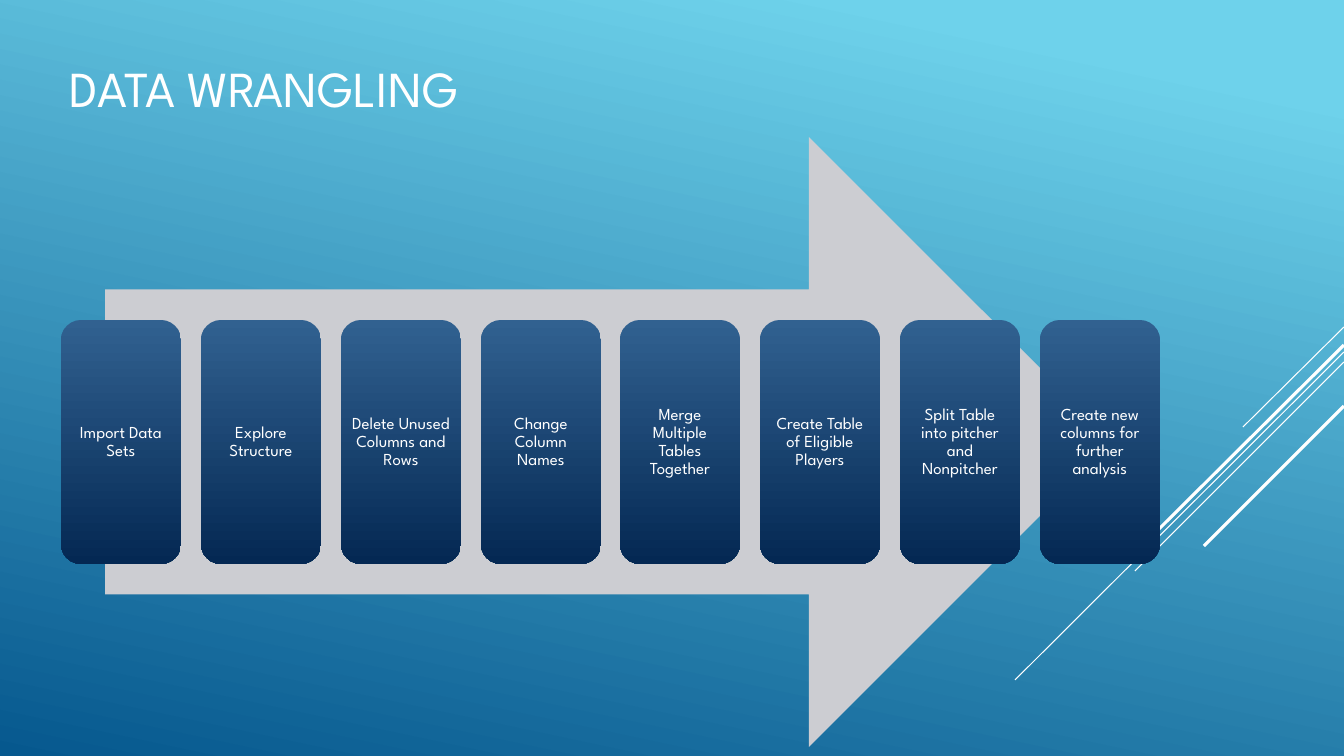
"""Build the Data Wrangling process slide."""
from dataclasses import dataclass

from lxml.etree import SubElement
from pptx import Presentation
from pptx.dml.color import RGBColor as RGB
from pptx.enum.shapes import MSO_CONNECTOR as CONN, MSO_SHAPE as SHAPE
from pptx.enum.text import MSO_ANCHOR as ANCHOR, PP_ALIGN as ALIGN
from pptx.oxml.ns import qn
from pptx.util import Pt

TITLE = "DATA WRANGLING"
STEPS = [
    "Import Data Sets",
    "Explore Structure",
    "Delete Unused Columns and Rows",
    "Change Column Names",
    "Merge Multiple Tables Together",
    "Create Table of Eligible Players",
    "Split Table into pitcher and Nonpitcher",
    "Create new columns for further analysis",
]
STREAKS = [
    (327, 1243, 427, 0.75),
    (352, 1015, 680, 0.75),
    (362, 1135, 571, 0.75),
    (345, 1151, 537, 2.25),
    (406, 1204, 546, 2.25),
]

SLIDE_W, SLIDE_H = 1344, 756
TITLE_BOX = (60, 8, 940, 166)
ARROW_BOX = (105, 137, 1009, 610)
FIRST_X, LAST_X = 61, 1040
CARD_Y, CARD_W, CARD_H = 320, 120, 244
CARD_INSET = 5


@dataclass(frozen=True)
class Theme:
    font: str = "League Spartan"
    white: str = "FFFFFF"
    arrow: str = "CCCDD2"
    sky: tuple = ("6ED2EB", "06588E")
    card: tuple = ("316190", "042853")
    title_size: int = 36
    card_size: int = 12


THEME = Theme()


def px(n):
    return round(n * 12192000 / SLIDE_W)


def box(lengths):
    return [px(n) for n in lengths]


def set_gradient(fill, colors, angle, start=0):
    fill.gradient()
    fill.gradient_angle = angle
    for stop, color, position in zip(fill.gradient_stops, colors, (start, 1)):
        stop.color.rgb = RGB.from_string(color)
        stop.position = position


def write(tf, text, size, align):
    tf.word_wrap = True
    tf.vertical_anchor = ANCHOR.MIDDLE
    p = tf.paragraphs[0]
    p.text = text
    p.alignment = align
    p.line_spacing = 0.9
    p.font.name = THEME.font
    p.font.size = Pt(size)
    p.font.color.rgb = RGB.from_string(THEME.white)


def add_streak(s, y1, x2, y2, width):
    line = s.shapes.add_connector(CONN.STRAIGHT, *box((SLIDE_W, y1, x2, y2)))
    line.line.color.rgb = RGB.from_string(THEME.white)
    line.line.width = Pt(width)
    SubElement(line._element.spPr, qn("a:effectLst"))


def add_plain(s, kind, bounds):
    sp = s.shapes.add_shape(kind, *box(bounds))
    sp.shadow.inherit = False
    sp.line.fill.background()
    return sp


def add_card(s, x, text):
    sp = add_plain(s, SHAPE.ROUNDED_RECTANGLE, (x, CARD_Y, CARD_W, CARD_H))
    set_gradient(sp.fill, THEME.card, 270)
    tf = sp.text_frame
    tf.margin_left = tf.margin_right = px(CARD_INSET)
    tf.margin_top = tf.margin_bottom = px(CARD_INSET)
    write(tf, text, THEME.card_size, ALIGN.CENTER)


def main():
    prs = Presentation()
    prs.slide_width, prs.slide_height = px(SLIDE_W), px(SLIDE_H)
    s = prs.slides.add_slide(prs.slide_layouts[6])
    set_gradient(s.background.fill, THEME.sky, 258, start=0.1)

    for streak in STREAKS:
        add_streak(s, *streak)

    title = s.shapes.add_textbox(*box(TITLE_BOX))
    write(title.text_frame, TITLE, THEME.title_size, ALIGN.LEFT)

    arrow = add_plain(s, SHAPE.RIGHT_ARROW, ARROW_BOX)
    arrow.fill.solid()
    arrow.fill.fore_color.rgb = RGB.from_string(THEME.arrow)

    pitch = (LAST_X - FIRST_X) / (len(STEPS) - 1)
    for i, step in enumerate(STEPS):
        add_card(s, round(FIRST_X + i * pitch), step)

    prs.save("out.pptx")


if __name__ == "__main__":
    main()
